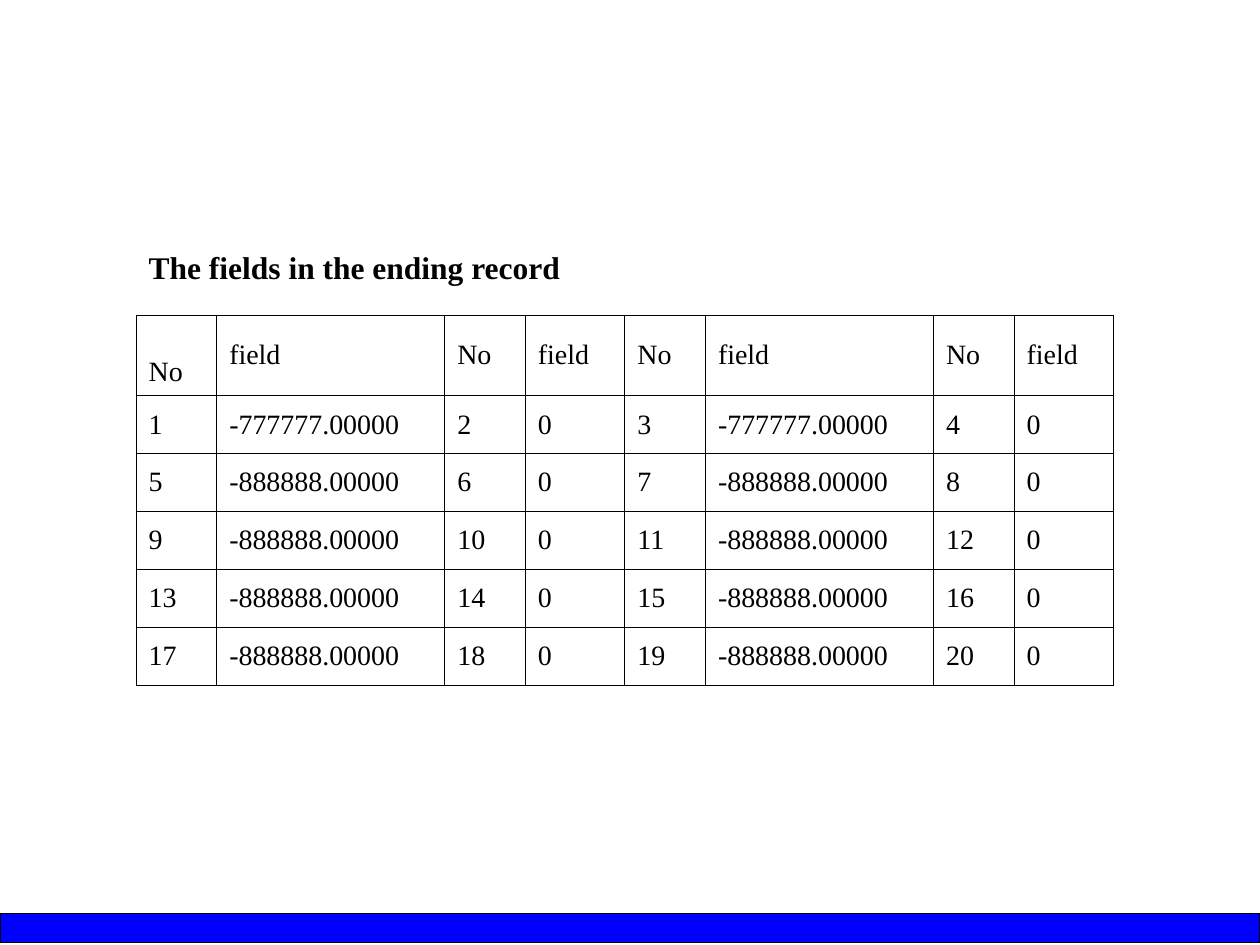
from dataclasses import dataclass

from lxml import etree
from pptx import Presentation
from pptx import util as u
from pptx.dml.color import RGBColor
from pptx.enum import shapes, text
from pptx.oxml import ns


@dataclass(frozen=True)
class Theme:
    font: str = "Times New Roman"
    ink: str = "000000"
    bar: str = "0000FF"
    title_size: float = 18
    cell_size: float = 16
    bar_line: float = 1
    grid_line: float = 0.45


THEME = Theme()
COLUMN_WIDTHS = [0.64, 1.81, 0.64, 0.79] * 2
HEADER_HEIGHT = 0.64
HEADINGS = ["No", "field"] * 4
RECORD_VALUES = ["-777777.00000"] + ["-888888.00000"] * 4


def format_runs(paragraph, size, bold=False):
    for run in paragraph.runs:
        run.font.name = THEME.font
        run.font.size = u.Pt(size)
        run.font.bold = bold
        run.font.color.rgb = RGBColor.from_string(THEME.ink)


def add_bottom_bar(slide, left, top, width, height):
    bar = slide.shapes.add_shape(
        shapes.MSO_SHAPE.RECTANGLE,
        u.Inches(left), u.Inches(top), u.Inches(width), u.Inches(height))
    bar.shadow.inherit = False
    bar.fill.solid()
    bar.fill.fore_color.rgb = RGBColor.from_string(THEME.bar)
    bar.line.color.rgb = RGBColor.from_string(THEME.ink)
    bar.line.width = u.Pt(THEME.bar_line)


def place_title(slide, left, top, width, height):
    title = slide.shapes.title
    title.left, title.top = u.Inches(left), u.Inches(top)
    title.width, title.height = u.Inches(width), u.Inches(height)
    frame = title.text_frame
    frame.text = "The fields in the ending record"
    frame.word_wrap = True
    frame.auto_size = text.MSO_AUTO_SIZE.NONE
    frame.vertical_anchor = text.MSO_ANCHOR.TOP
    paragraph = frame.paragraphs[0]
    paragraph.alignment = text.PP_ALIGN.LEFT
    format_runs(paragraph, THEME.title_size, bold=True)


def add_borders(cell):
    properties = cell._tc.get_or_add_tcPr()
    for side in ("a:lnL", "a:lnR", "a:lnT", "a:lnB"):
        line = etree.SubElement(properties, ns.qn(side), w=str(u.Pt(THEME.grid_line)))
        fill = etree.SubElement(line, ns.qn("a:solidFill"))
        etree.SubElement(fill, ns.qn("a:srgbClr"), val=THEME.ink)


def format_cell(cell, value):
    cell.text_frame.text = value
    cell.vertical_anchor = text.MSO_ANCHOR.MIDDLE
    cell.margin_left = cell.margin_right = u.Inches(0.1)
    cell.margin_top = cell.margin_bottom = u.Inches(0.05)
    format_runs(cell.text_frame.paragraphs[0], THEME.cell_size)
    add_borders(cell)
    cell.fill.background()


def record_rows():
    rows = [HEADINGS]
    for index, value in enumerate(RECORD_VALUES):
        first = 4 * index + 1
        rows.append([str(first), value, str(first + 1), "0",
                     str(first + 2), value, str(first + 3), "0"])
    return rows


def add_record_table(slide, left, top, width, height):
    rows = record_rows()
    frame = slide.shapes.add_table(
        len(rows), len(HEADINGS),
        u.Inches(left), u.Inches(top), u.Inches(width), u.Inches(height))
    table = frame.table
    table.first_row = table.horz_banding = False
    for column, column_width in zip(table.columns, COLUMN_WIDTHS):
        column.width = u.Inches(column_width)
    body_height = (height - HEADER_HEIGHT) / (len(rows) - 1)
    for index, values in enumerate(rows):
        table.rows[index].height = u.Inches(body_height if index else HEADER_HEIGHT)
        for cell, value in zip(table.rows[index].cells, values):
            format_cell(cell, value)
    corner = table.cell(0, 0)
    corner.vertical_anchor = text.MSO_ANCHOR.BOTTOM
    corner.margin_bottom = u.Inches(0.06)


def main():
    presentation = Presentation()
    presentation.slide_width = u.Inches(10)
    presentation.slide_height = u.Inches(7.5)
    slide = presentation.slides.add_slide(presentation.slide_layouts[5])
    add_bottom_bar(slide, 0, 7.25, 10, 0.23)
    add_record_table(slide, 1.08, 2.5, 7.75, 2.94)
    place_title(slide, 1.08, 1.92, 5.17, 0.4)
    presentation.save("out.pptx")


if __name__ == "__main__":
    main()
